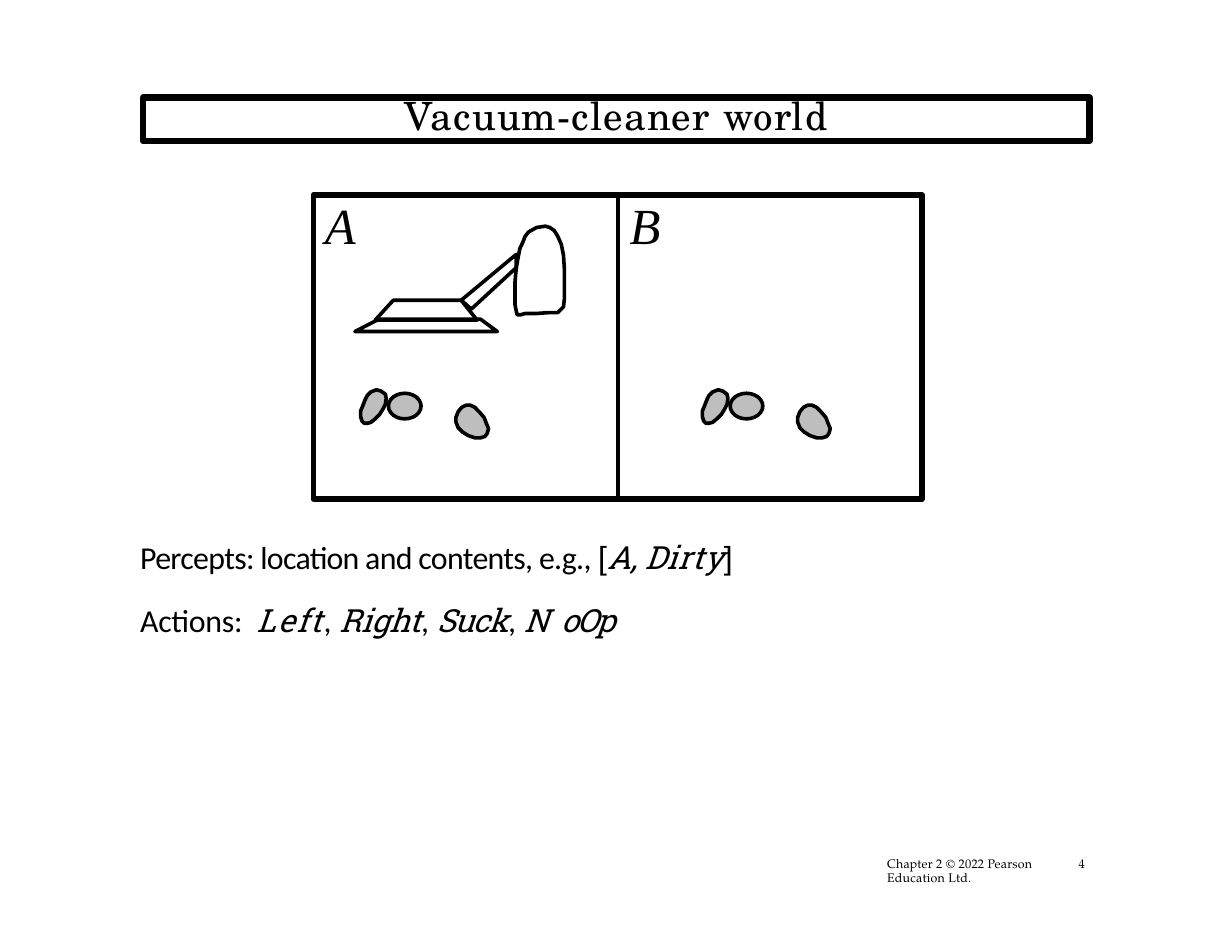
from typing import NamedTuple

from lxml.etree import SubElement
from pptx import Presentation
from pptx.dml.color import RGBColor
from pptx.enum.shapes import MSO_CONNECTOR, MSO_SHAPE
from pptx.enum.text import MSO_ANCHOR, PP_ALIGN
from pptx.oxml.ns import qn
from pptx.util import Cm, Pt

BLACK, DIRT_GREY = "000000", "BEBEBE"
OUTLINE = 2.33


class Point(NamedTuple):
    x: float
    y: float


class Box(NamedTuple):
    left: float
    top: float
    width: float
    height: float


class Style(NamedTuple):
    font: str
    size: float
    italic: bool = False


class Piece(NamedTuple):
    text: str
    style: Style
    spacing: float


TITLE = Style("TeX Gyre Schola", 25)
ROOM = Style("Times New Roman", 32.5, True)
FOOTER = Style("TeX Gyre Pagella", 8)
BODY = Style("Calibri", 20.5)
BRACKET = Style("Arial", 20.5)
SYMBOL = Style("Roboto Slab", 20.5, True)

# All coordinates are centimetres
TITLE_BOX = Box(3.25, 2.21, 21.46, 0.99)
ROOMS_BOX = Box(7.11, 4.42, 13.8, 6.9)
ROOM_STEP = 7.75

SEED = [(0, .61), (.03, .71), (.08, .76), (.15, .76), (.23, .74), (.33, .66),
        (.43, .56), (.51, .43), (.56, .33), (.58, .2), (.56, .1), (.46, .03),
        (.36, 0), (.23, .05), (.15, .13), (.1, .23), (.05, .36), (0, .48)]
PEBBLE = [(0, .38), (.05, .51), (.15, .61), (.28, .69), (.43, .74), (.56, .74),
          (.66, .71), (.71, .64), (.74, .53), (.69, .41), (.64, .28), (.53, .15),
          (.43, .05), (.33, 0), (.23, 0), (.13, .05), (.05, .15), (0, .28)]
CRUMB = Box(8.81, 8.92, 0.74, 0.58)

BASE = [(8.51, 7.26), (10.82, 7.26), (10.46, 6.81), (8.92, 6.81)]
HANDLE = [(10.46, 6.81), (11.71, 5.77), (11.71, 6.07), (10.69, 7.01)]
BAG = [(11.68, 6.91), (11.68, 6.4), (11.71, 6.07), (11.76, 5.79), (11.79, 5.64),
       (11.86, 5.49), (11.91, 5.36), (11.99, 5.26), (12.17, 5.16), (12.37, 5.13),
       (12.47, 5.16), (12.57, 5.23), (12.65, 5.36), (12.73, 5.54), (12.78, 5.79),
       (12.8, 6.1), (12.8, 6.78), (12.78, 6.96), (12.65, 7.09), (12.45, 7.09),
       (12.17, 7.11), (11.91, 7.11), (11.81, 7.14), (11.73, 7.14), (11.71, 7.06)]
SKIRT = [(10.9, 7.24), (11.28, 7.52), (8.05, 7.52), (8.59, 7.24)]


def color(value: str) -> RGBColor:
    return RGBColor.from_string(value)


def lengths(box: Box) -> list:
    return [Cm(value) for value in box]


def paint(shape, width: float, fill: str | None = None):
    shape.shadow.inherit = False
    if fill:
        shape.fill.solid()
        shape.fill.fore_color.rgb = color(fill)
    else:
        shape.fill.background()
    shape.line.color.rgb = color(BLACK)
    shape.line.width = Pt(width)
    return shape


def draw_outline(slide, contours: list, origin: Point = Point(0, 0),
                 fill: str | None = None):
    moved = [[(Cm(origin.x + x), Cm(origin.y + y)) for x, y in contour]
             for contour in contours]
    builder = slide.shapes.build_freeform(*moved[0][0], scale=1.0)
    builder.add_line_segments(moved[0][1:], close=True)
    for contour in moved[1:]:
        builder.move_to(*contour[0])
        builder.add_line_segments(contour[1:], close=True)
    return paint(builder.convert_to_shape(), OUTLINE, fill)


def format_run(run, style: Style, spacing: float = 0) -> None:
    run.font.name = style.font
    run.font.size = Pt(style.size)
    run.font.italic = style.italic
    run.font.color.rgb = color(BLACK)
    if spacing:
        run.font._element.set("spc", str(round(spacing * 100)))


def clear_margins(frame) -> None:
    frame.margin_left = frame.margin_right = 0
    frame.margin_top = frame.margin_bottom = 0
    frame.vertical_anchor = MSO_ANCHOR.TOP
    frame.word_wrap = True


def add_text(slide, box: Box, text: str = "", style: Style = BODY,
             spacing: float = 0, line_height: float | None = None):
    frame = slide.shapes.add_textbox(*lengths(box)).text_frame
    clear_margins(frame)
    frame.text = text
    paragraph = frame.paragraphs[0]
    if line_height:
        paragraph.line_spacing = Pt(line_height)
    for run in paragraph.runs:
        format_run(run, style, spacing)
    return frame


def add_pieces(paragraph, pieces: list[Piece]) -> None:
    for piece in pieces:
        run = paragraph.add_run()
        run.text = piece.text
        format_run(run, piece.style, piece.spacing)


def draw_dirt(slide, shift: float) -> None:
    draw_outline(slide, [SEED], Point(8.18 + shift, 8.84), DIRT_GREY)
    draw_outline(slide, [PEBBLE], Point(10.34 + shift, 9.19), DIRT_GREY)
    crumb = CRUMB._replace(left=CRUMB.left + shift)
    paint(slide.shapes.add_shape(MSO_SHAPE.OVAL, *lengths(crumb)), OUTLINE, DIRT_GREY)


def draw_rooms(slide) -> None:
    rooms = paint(slide.shapes.add_shape(MSO_SHAPE.RECTANGLE, *lengths(ROOMS_BOX)), 3.5)
    wall = slide.shapes.add_connector(MSO_CONNECTOR.STRAIGHT, 0, 0, 0, 0)
    wall.begin_connect(rooms, 0)
    wall.end_connect(rooms, 2)
    wall.line.color.rgb = color(BLACK)
    wall.line.width = Pt(OUTLINE)
    SubElement(wall._element.spPr, qn("a:effectLst"))

    for shift in (0, ROOM_STEP):
        draw_dirt(slide, shift)

    labels = add_text(slide, Box(7.37, 4.41, 7.65, 1.4), "A\tB", ROOM)
    tabs = SubElement(labels.paragraphs[0]._p.get_or_add_pPr(), qn("a:tabLst"))
    SubElement(tabs, qn("a:tab"), pos=str(Cm(6.91)), algn="l")


def main() -> None:
    deck = Presentation()
    deck.slide_width, deck.slide_height = Cm(27.94), Cm(21.59)
    slide = deck.slides.add_slide(deck.slide_layouts[5])

    # Title
    title = slide.shapes.title
    title.left, title.top, title.width, title.height = lengths(TITLE_BOX)
    title.line.color.rgb = color(BLACK)
    title.line.width = Pt(4.08)
    title.text_frame.text = "Vacuum-cleaner world"
    clear_margins(title.text_frame)
    heading = title.text_frame.paragraphs[0]
    heading.alignment = PP_ALIGN.CENTER
    heading.line_spacing = Pt(26.4)
    format_run(heading.runs[0], TITLE, 0.8)

    # Rooms with dirt, and the vacuum cleaner
    draw_rooms(slide)
    draw_outline(slide, [BASE, HANDLE, BAG])
    draw_outline(slide, [SKIRT])

    # Percepts and actions
    body = add_text(slide, Box(3.18, 12.2, 14.05, 2.3))
    add_pieces(body.paragraphs[0], [
        Piece("Percepts: location and contents, e.g., ", BODY, -0.45),
        Piece("[", BRACKET, -0.1), Piece("A, ", SYMBOL, -0.1),
        Piece("Dirty", SYMBOL, 0.5), Piece("]", BRACKET, 0.5)])
    actions = body.add_paragraph()
    actions.space_before = Pt(15.6)
    comma = Piece(", ", BODY, 0.2)
    add_pieces(actions, [
        Piece("Actions:", BODY, -0.2), Piece(" ", BODY, 4.4),
        Piece("Left", SYMBOL, 1.4), comma, Piece("Right", SYMBOL, 0.05), comma,
        Piece("Suck", SYMBOL, -0.75), comma,
        Piece("N ", SYMBOL, 1.4), Piece("oOp", SYMBOL, -1.05)])

    # Footer
    add_text(slide, Box(20.12, 19.46, 3.78, 0.64),
             "Chapter 2 © 2022 Pearson Education Ltd.", FOOTER, 0.1, 8.6)
    add_text(slide, Box(24.46, 19.46, 0.43, 0.36), "4", FOOTER, 0.2, 8.6)

    deck.save("out.pptx")


if __name__ == "__main__":
    main()
